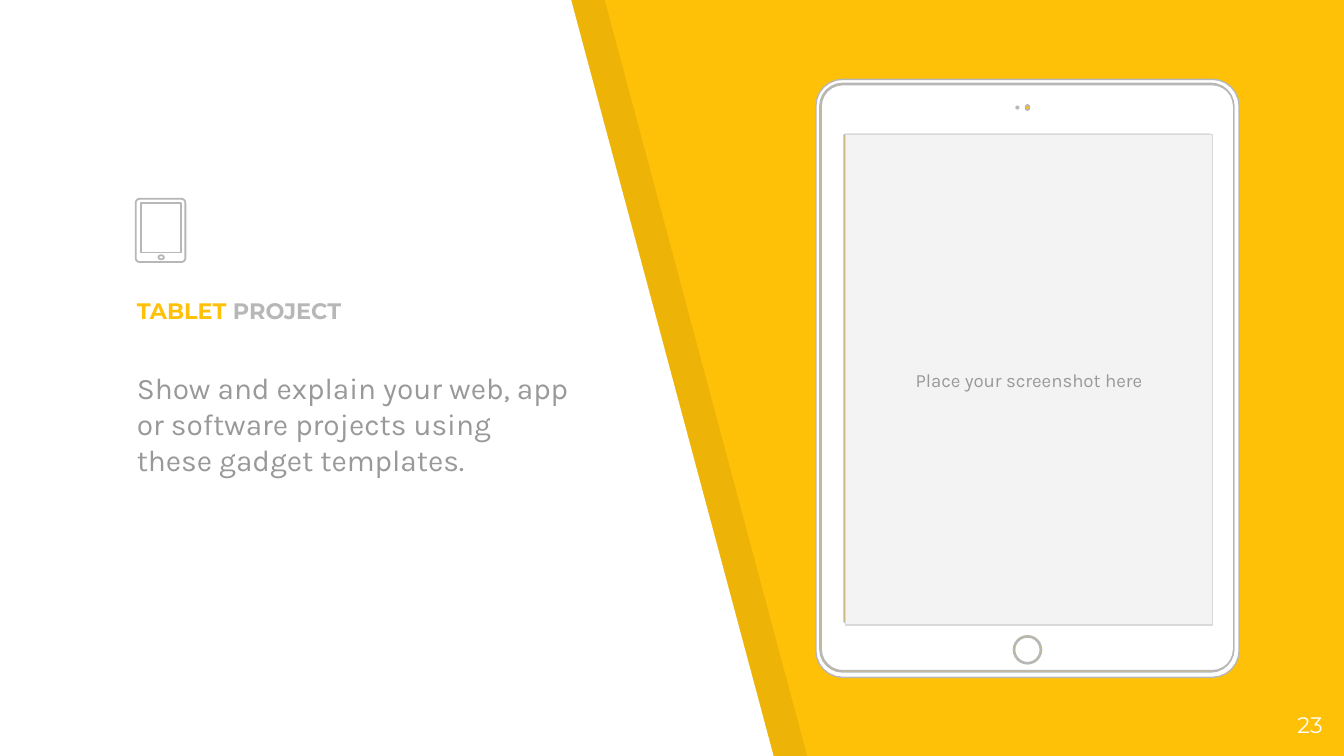
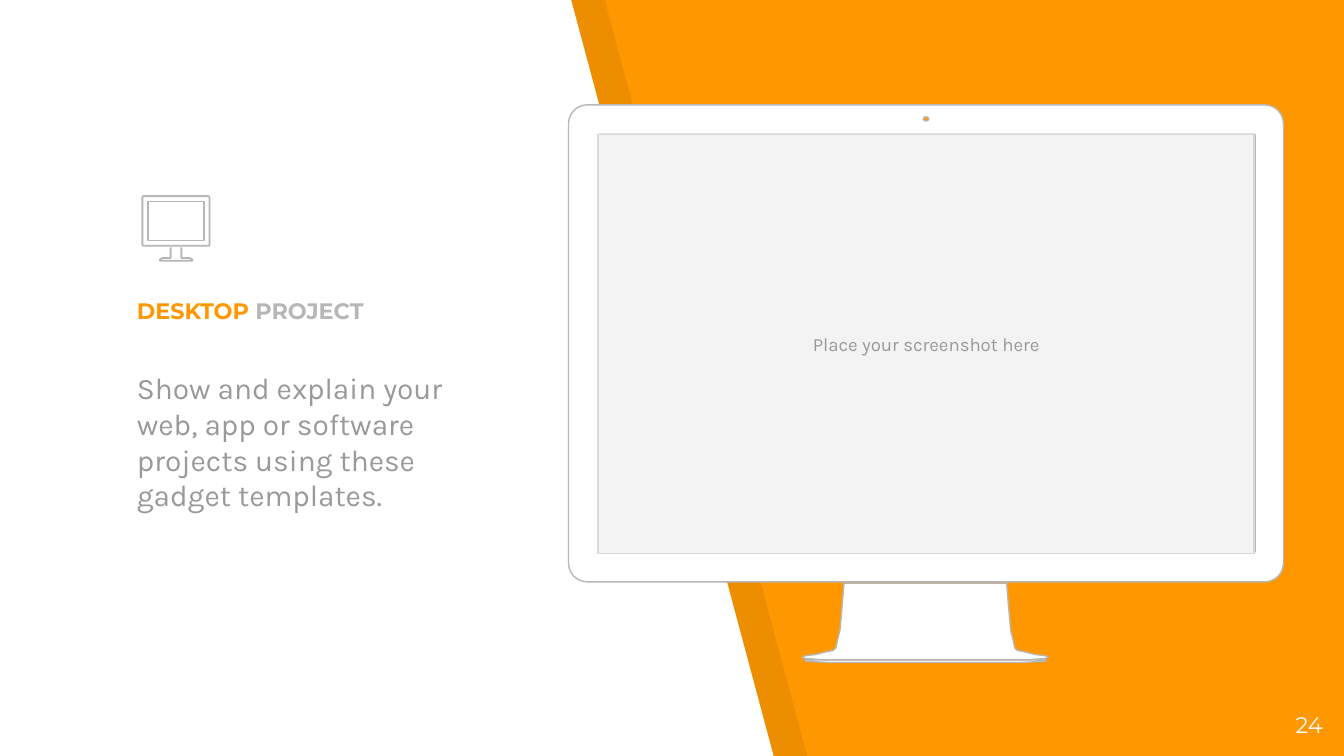
import math

from lxml import etree
from pptx import Presentation
from pptx.dml.color import RGBColor
from pptx.enum.shapes import MSO_SHAPE
from pptx.enum.text import MSO_ANCHOR, PP_ALIGN
from pptx.oxml.ns import qn
from pptx.util import Pt

PX = 9144  # EMU in one px, 100 px to the inch
RECTANGLE = MSO_SHAPE.RECTANGLE
TOP, MIDDLE, BOTTOM = MSO_ANCHOR.TOP, MSO_ANCHOR.MIDDLE, MSO_ANCHOR.BOTTOM
LEFT, CENTER, RIGHT = PP_ALIGN.LEFT, PP_ALIGN.CENTER, PP_ALIGN.RIGHT

color = RGBColor.from_string
WHITE, BLACK = "FFFFFF", "000000"
OUTLINE, TEXT_GREY = "B7B7B7", "999999"
SCREEN_FILL, SCREEN_LINE = "F3F3F3", "D9D9D9"
TITLE_FONT, BODY_FONT = "Montserrat", "Karla"


def write_text(shape, *runs, font=BODY_FONT, size=16, bold=False,
               align=LEFT, anchor=TOP, space_before=0):
    """Write (text, colour) runs as one paragraph."""
    frame = shape.text_frame
    frame.word_wrap = True
    frame.vertical_anchor = anchor
    frame.margin_left = frame.margin_right = 10 * PX
    frame.margin_top = frame.margin_bottom = 10 * PX
    paragraph = frame.paragraphs[0]
    paragraph.alignment = align
    paragraph.space_before = Pt(space_before)
    for text, run_color in runs:
        run = paragraph.add_run()
        run.text = text
        run.font.name = font
        run.font.size = Pt(size)
        run.font.bold = bold
        run.font.color.rgb = color(run_color)


def draw_outline(shapes, contours, fill=None, line=None, line_width=0.75, close=True):
    """Draw contours as one freeform: point lists, or (left, top, right, bottom, radius) boxes."""
    builder = None
    for contour in contours:
        points = contour
        if isinstance(contour, tuple):
            left, top, right, bottom, radius = contour
            radius_x = min(radius, (right - left) / 2)
            radius_y = min(radius, (bottom - top) / 2)
            corners = [(right - radius_x, bottom - radius_y), (left + radius_x, bottom - radius_y),
                       (left + radius_x, top + radius_y), (right - radius_x, top + radius_y)]
            points = [(x + radius_x * math.cos(math.radians(90 * quarter + step)),
                       y + radius_y * math.sin(math.radians(90 * quarter + step)))
                      for quarter, (x, y) in enumerate(corners)
                      for step in (range(0, 91, 15) if radius else [0])]
        points = [(x * PX, y * PX) for x, y in points]
        if builder is None:
            builder = shapes.build_freeform(*points[0])
        else:
            builder.move_to(*points[0])
        builder.add_line_segments(points[1:], close=close)
    shape = builder.convert_to_shape()
    shape.shadow.inherit = False
    if fill:
        shape.fill.solid()
        shape.fill.fore_color.rgb = color(fill)
    else:
        shape.fill.background()
    if line:
        shape.line.color.rgb = color(line)
        shape.line.width = Pt(line_width)
    else:
        shape.line.fill.background()
    return shape


# Tablet: body, double bezel, screen, home button, sensors
tablet = [(607, 59, 922, 504, 20), (610, 62, 918, 500, 17), (611, 63, 918, 499, 16),
          (628, 100, 901, 463, 1), (754, 473, 775, 494, 11), (755, 474, 774, 493, 10),
          (756, 79, 758, 81, 1), (763, 78, 766, 82, 2)]
tablet_icon = [(101, 148, 138, 195, 3), (105, 151, 135, 188, 0), (118, 190, 122, 193, 2)]

# Desktop: monitor, screen, camera, and a stand mirrored from its left half
stand = [(628, 434), (627, 446), (626, 458), (625, 469), (623, 477), (622, 482), (620, 484),
         (615, 485), (607, 487), (599, 488), (597, 489), (599, 490), (613, 491), (631, 491)]
foot = [(599, 491), (599, 492), (618, 493), (654, 493)]
icon_stand = [(127, 184), (127, 192), (121, 192), (119, 193), (119, 194)]
for half, mirror in ((stand, 1377), (foot, 1377), (icon_stand, 262)):
    half += [(mirror - x, y) for x, y in reversed(half)]
desktop = [(423, 78, 955, 433, 14), (445, 100, 934, 411, 1), (687, 87, 691, 90, 2), stand, foot]
desktop_icon = [(106, 146, 156, 183, 1), (110, 150, 152, 179, 0)]

projects = [
    dict(name="TABLET", accent="FFC107", number="23", device=tablet,
         screen=(629, 100, 273, 365), body_width=344, icon=tablet_icon, icon_stand=None),
    dict(name="DESKTOP", accent="FF9800", number="24", device=desktop,
         screen=(445, 100, 488, 312), body_width=255, icon=desktop_icon, icon_stand=icon_stand),
]

presentation = Presentation()
presentation.slide_width = 1000 * PX
presentation.slide_height = presentation.slide_width * 9 // 16

for project in projects:
    slide = presentation.slides.add_slide(presentation.slide_layouts[6])
    shapes = slide.shapes
    slide.background.fill.solid()
    slide.background.fill.fore_color.rgb = color(project["accent"])

    # Slanted white panel over its translucent shade
    panel = [(0, -1), (-1, 564), (576, 564), (425, 0)]
    shade = draw_outline(shapes, [[(x + 25, y) for x, y in panel]], fill=BLACK)
    shade_color = shade._element.spPr.find(qn("a:solidFill"))[0]
    etree.SubElement(shade_color, qn("a:alpha")).set("val", "7000")
    draw_outline(shapes, [panel], fill=WHITE)

    # Device and its screen
    draw_outline(shapes, project["device"], fill=WHITE, line=OUTLINE)
    screen = shapes.add_shape(RECTANGLE, *(length * PX for length in project["screen"]))
    screen.shadow.inherit = False
    screen.fill.solid()
    screen.fill.fore_color.rgb = color(SCREEN_FILL)
    screen.line.color.rgb = color(SCREEN_LINE)
    screen.line.width = Pt(0.75)
    write_text(screen, ("Place your screenshot here", TEXT_GREY),
               size=10, align=CENTER, anchor=MIDDLE)

    # Title and description
    title = shapes.add_textbox(92 * PX, 198 * PX, 344 * PX, 53 * PX)
    write_text(title, (project["name"], project["accent"]), (" PROJECT", OUTLINE),
               font=TITLE_FONT, size=12, bold=True, anchor=BOTTOM)
    body = shapes.add_textbox(92 * PX, 265 * PX, project["body_width"] * PX, 247 * PX)
    write_text(body, ("Show and explain your web, app or software projects "
                      "using these gadget templates.", TEXT_GREY), space_before=6)

    # Icon
    icon_shapes = shapes
    if project["icon_stand"]:
        icon_shapes = shapes.add_group_shape().shapes
        draw_outline(icon_shapes, [project["icon_stand"]],
                     line=OUTLINE, line_width=0.96, close=False)
    draw_outline(icon_shapes, project["icon"], line=OUTLINE, line_width=0.96)

    # Slide number
    number = shapes.add_textbox(934 * PX, 519 * PX, 60 * PX, 43 * PX)
    write_text(number, (project["number"], WHITE), font=TITLE_FONT, size=12, align=RIGHT)

presentation.save("out.pptx")
